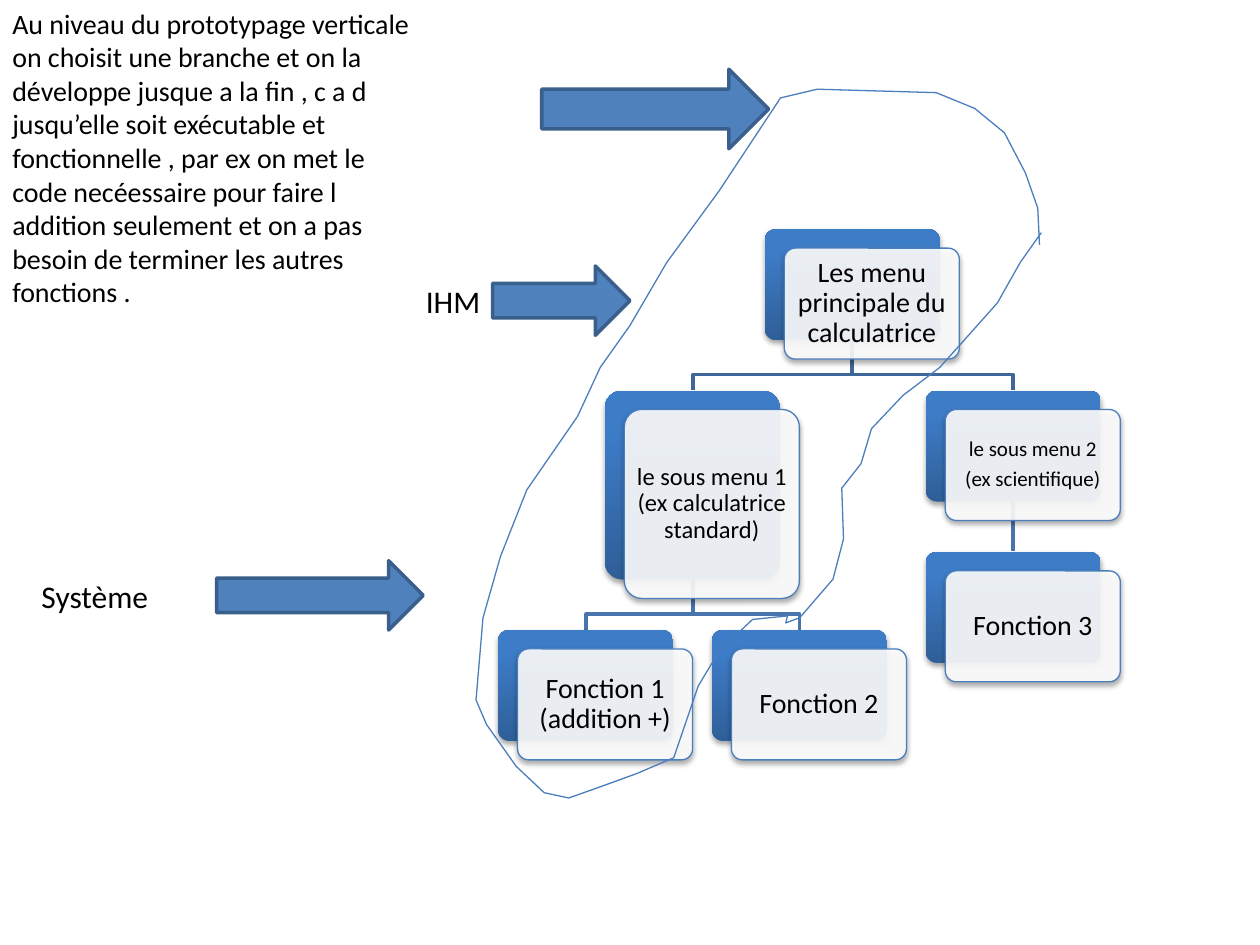
from lxml import etree
from pptx import Presentation
from pptx.dml.color import RGBColor
from pptx.enum.shapes import MSO_SHAPE
from pptx.enum.text import MSO_ANCHOR, MSO_AUTO_SIZE, PP_ALIGN
from pptx.oxml.ns import qn
from pptx.util import Pt

ROUNDED, ARROW = MSO_SHAPE.ROUNDED_RECTANGLE, MSO_SHAPE.RIGHT_ARROW
CENTER, LEFT = PP_ALIGN.CENTER, PP_ALIGN.LEFT
MIDDLE = MSO_ANCHOR.MIDDLE
GROW = MSO_AUTO_SIZE.SHAPE_TO_FIT_TEXT

FONT = "Calibri"
BLACK, WHITE = "000000", "FFFFFF"
CARD_DARK, CARD_LIGHT, CARD_LINE = "2F5F99", "3D7CC7", "4B7EBC"
ARROW_FILL, ARROW_LINE = "4F81BD", "3A5F8C"
TOP_LINK, LOW_LINK = "3F6797", "4875AC"

# Tree cards: left, top, height, text size, paragraphs
CARD_WIDTH, CARD_HEIGHT = 100, 63.4
SHIFT_X, SHIFT_Y = 11.2, 10.8
ELBOW = 9.4
CARDS = {
    "menu": (437, 131, CARD_HEIGHT, 16, ["Les menu principale du calculatrice"]),
    "standard": (345.6, 223.2, 108, 14, ["le sous menu 1 (ex calculatrice standard)"]),
    "addition": (284.6, 360, CARD_HEIGHT, 16, ["Fonction 1 (addition +)"]),
    "second": (406.8, 360, CARD_HEIGHT, 16, ["Fonction 2"]),
    "scientific": (529, 223.2, CARD_HEIGHT, 12, ["le sous menu 2", "(ex scientifique)"]),
    "third": (529, 315.4, CARD_HEIGHT, 16, ["Fonction 3"]),
}

# Links: parent, child, colour
LINKS = [
    ("scientific", "third", LOW_LINK),
    ("menu", "scientific", TOP_LINK),
    ("standard", "second", LOW_LINK),
    ("standard", "addition", LOW_LINK),
    ("menu", "standard", TOP_LINK),
]

# Hand-drawn loop around the chosen branch
LOOP = [
    (595, 133), (583, 150), (570, 173), (554, 191), (537, 210), (516, 226),
    (498, 245), (492, 265), (481, 279), (482, 308), (476, 331), (457, 353),
    (449, 356), (450, 352), (430, 354), (411, 372), (399, 392), (385, 433),
    (364, 442), (342, 450), (325, 456), (311, 453), (295, 438), (278, 414),
    (272, 400), (276, 353), (286, 318), (301, 280), (330, 238), (343, 210),
    (360, 186), (381, 150), (411, 109), (446, 56), (467, 51), (535, 53),
    (557, 62), (574, 76), (586, 99), (593, 119), (594, 140),
]

# Block arrows: left, top, width, height
ARROWS = [
    (281.5, 152, 78.5, 39.6),
    (123.8, 320.4, 118.1, 39.6),
    (309.6, 39.6, 129.6, 45.4),
]

# Free texts: left, top, width, height, size, wording
NOTES = [
    (236.2, 157.7, 135.4, 28.8, 18, "IHM"),
    (16.6, 326.2, 106.6, 28.8, 18, "Système"),
    (0, 0, 247.7, 203.8, 16,
     "Au niveau du prototypage verticale on choisit une branche et on la "
     "développe jusque a la fin , c a d jusqu’elle soit exécutable et "
     "fonctionnelle , par ex on met le code necéessaire pour faire l addition "
     "seulement et on a pas besoin de terminer les autres fonctions ."),
]


def color(value):
    return RGBColor.from_string(value)


def set_line(shape, value, width):
    shape.line.color.rgb = color(value)
    shape.line.width = Pt(width)


def add_preset(page, kind, *place):
    shape = page.shapes.add_shape(kind, *map(Pt, place))
    shape.shadow.inherit = False
    return shape


def add_path(page, points, value, width):
    builder = page.shapes.build_freeform(*points[0], scale=Pt(1))
    builder.add_line_segments(points[1:], close=False)
    shape = builder.convert_to_shape()
    shape.shadow.inherit = False
    shape.fill.background()
    set_line(shape, value, width)


def add_link(page, parent, child, value):
    start_left, start_top, start_height = CARDS[parent][:3]
    end_left, end_top = CARDS[child][:2]
    start_x, end_x = start_left + CARD_WIDTH / 2, end_left + CARD_WIDTH / 2
    points = [(start_x, start_top + start_height), (end_x, end_top)]
    if start_x != end_x:
        bend = end_top - ELBOW
        points[1:1] = [(start_x, bend), (end_x, bend)]
    add_path(page, points, value, 2)


def add_alpha(color_node, percent):
    etree.SubElement(color_node, qn("a:alpha"), val=str(percent * 1000))


def add_shadow(shape):
    effects = shape.element.spPr.find(qn("a:effectLst"))
    shadow = etree.SubElement(effects, qn("a:outerShdw"), blurRad=str(Pt(3.1)),
                              dist=str(Pt(1.8)), dir="5400000", rotWithShape="0")
    add_alpha(etree.SubElement(shadow, qn("a:srgbClr"), val=BLACK), 35)


def write(frame, paragraphs, size, align):
    frame.word_wrap = True
    for index, text in enumerate(paragraphs):
        para = frame.paragraphs[0] if index == 0 else frame.add_paragraph()
        para.alignment = align
        span = para.add_run()
        span.text = text
        span.font.name = FONT
        span.font.size = Pt(size)
        span.font.color.rgb = color(BLACK)


def add_card(page, left, top, height, size, paragraphs):
    # Blue card behind
    back = add_preset(page, ROUNDED, left, top, CARD_WIDTH, height)
    back.fill.gradient()
    back.fill.gradient_angle = 90
    dark, light = back.fill.gradient_stops
    dark.color.rgb, dark.position = color(CARD_DARK), 0
    light.color.rgb, light.position = color(CARD_LIGHT), 0.8
    back.line.fill.background()
    # White card with the text
    front = add_preset(page, ROUNDED, left + SHIFT_X, top + SHIFT_Y, CARD_WIDTH, height)
    front.fill.solid()
    front.fill.fore_color.rgb = color(WHITE)
    add_alpha(front.element.spPr.find(qn("a:solidFill"))[0], 90)
    set_line(front, CARD_LINE, 0.75)
    for card in (back, front):
        card.adjustments[0] = 0.1
        add_shadow(card)
    frame = front.text_frame
    frame.vertical_anchor = MIDDLE
    frame.margin_left = frame.margin_right = Pt(0.3 * size)
    frame.margin_top = frame.margin_bottom = Pt(0.3 * size)
    write(frame, paragraphs, size, CENTER)
    for para in frame.paragraphs:
        para.line_spacing = 0.9
        para.space_after = Pt(0.35 * size)


def main():
    deck = Presentation()
    deck.slide_width, deck.slide_height = Pt(720), Pt(540)
    page = deck.slides.add_slide(deck.slide_layouts[6])

    # Tree and loop
    for link in LINKS:
        add_link(page, *link)
    for card in CARDS.values():
        add_card(page, *card)
    add_path(page, LOOP, CARD_LINE, 0.75)

    # Arrows and free texts
    for place in ARROWS:
        arrow = add_preset(page, ARROW, *place)
        arrow.fill.solid()
        arrow.fill.fore_color.rgb = color(ARROW_FILL)
        set_line(arrow, ARROW_LINE, 2)
    for *place, size, text in NOTES:
        box = page.shapes.add_textbox(*map(Pt, place))
        write(box.text_frame, [text], size, LEFT)
        box.text_frame.auto_size = GROW

    deck.save("out.pptx")


if __name__ == "__main__":
    main()
